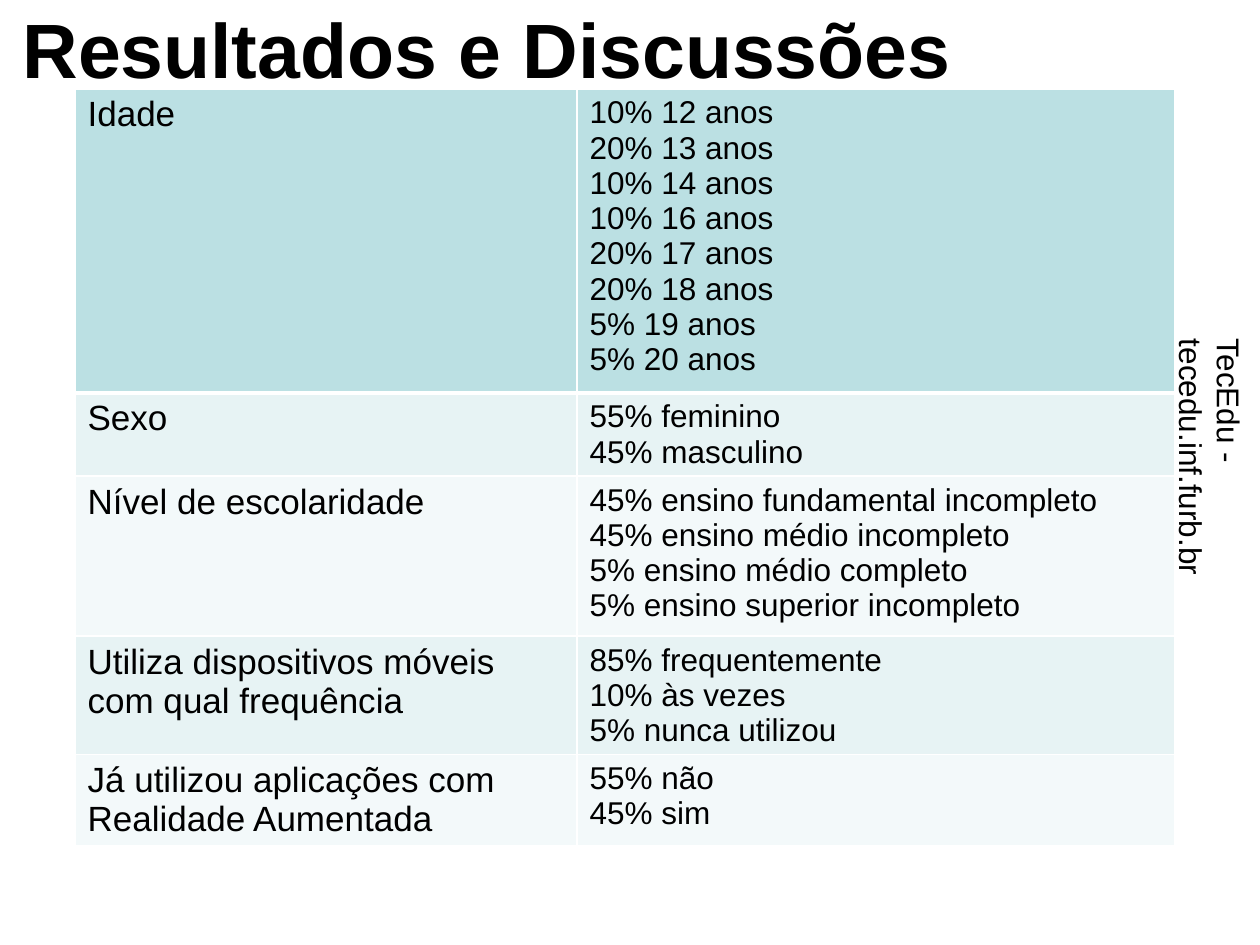
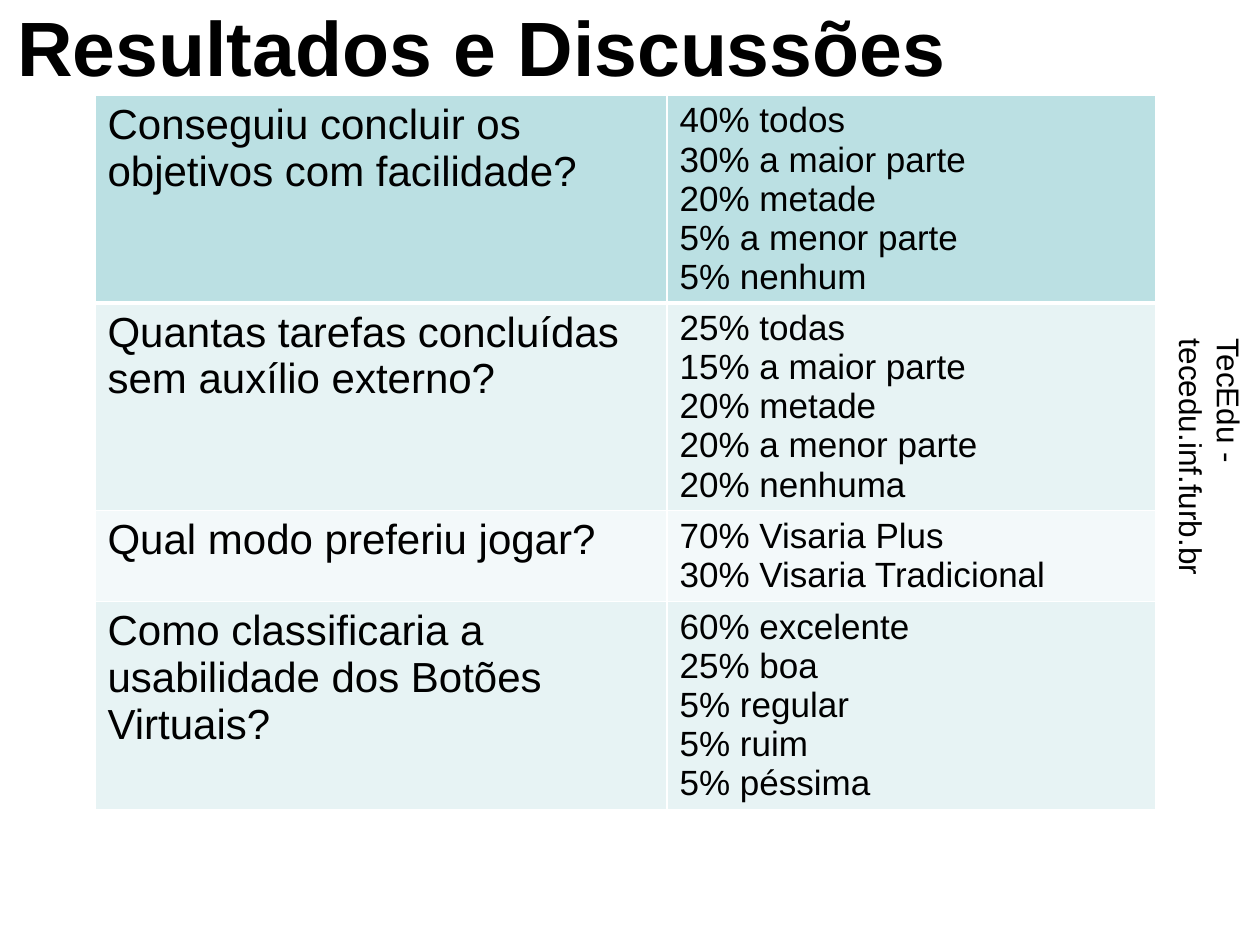
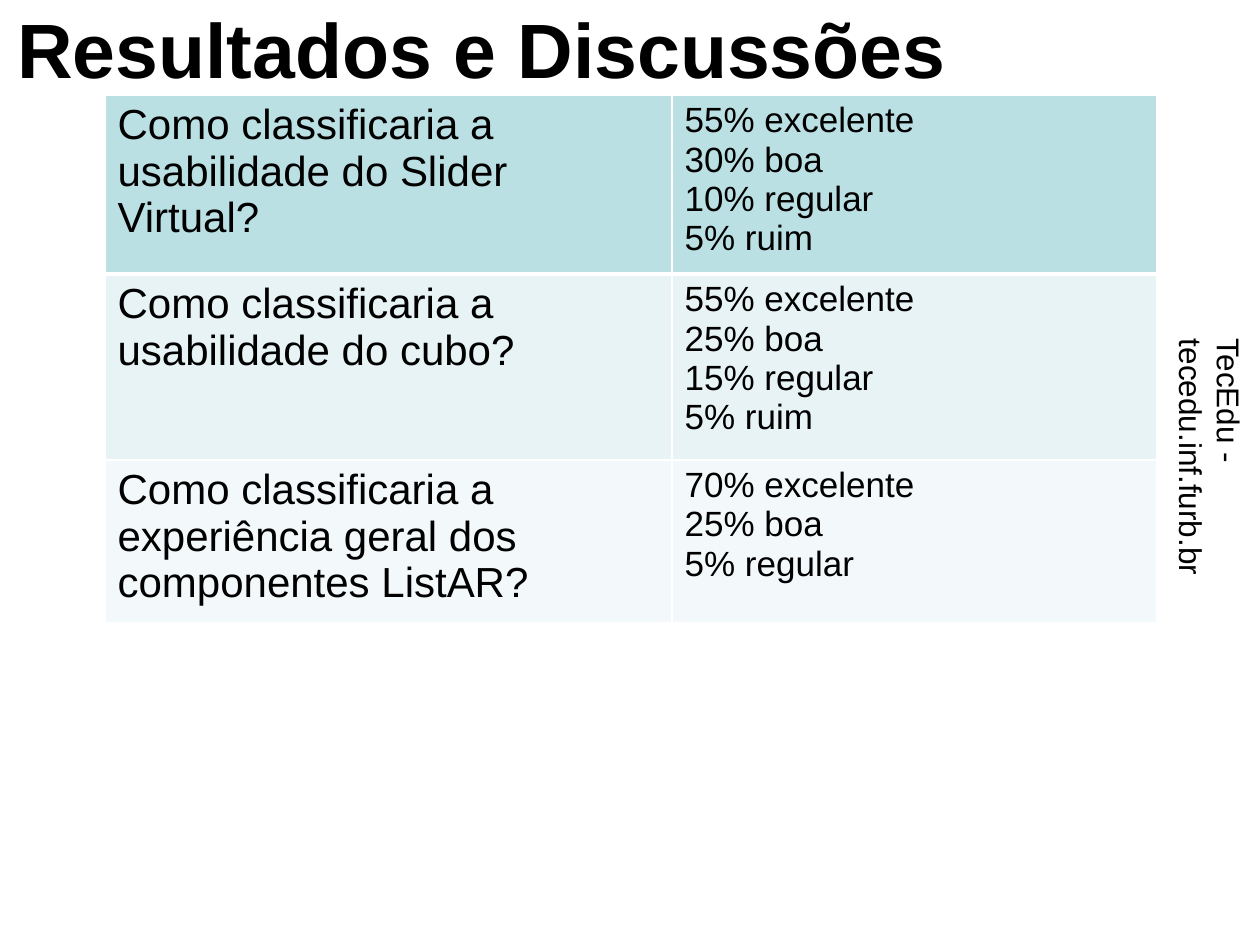
from pptx import Presentation
from pptx.dml.color import RGBColor
from pptx.enum.text import MSO_ANCHOR, MSO_AUTO_SIZE
from pptx.oxml.xmlchemy import OxmlElement
from pptx.util import Emu, Pt

PX = 914400 // 126
MIDDLE = MSO_ANCHOR.MIDDLE
TOP = MSO_ANCHOR.TOP
NO_AUTOFIT = MSO_AUTO_SIZE.NONE

COLORS = {
    "text": "000000",
    "header": "BBE0E3",
    "band_dark": "E7F3F4",
    "band_light": "F3F9FA",
    "border": "FFFFFF",
}
FONT = "Arial"
TITLE = "Resultados e Discussões"
FOOTER = "TecEdu - tecedu.inf.furb.br"
FOOTER_BOX = (1046, 485, 367, 50)

SURVEYS = [
    {
        "title_box": (10, 10, 968, 76),
        "origin": (75, 89),
        "columns": (502, 598),
        "sizes": (20, 18),
        "rows": [
            (304, "Idade", ["10% 12 anos", "20% 13 anos", "10% 14 anos", "10% 16 anos",
                            "20% 17 anos", "20% 18 anos", "5% 19 anos", "5% 20 anos"]),
            (83, "Sexo", ["55% feminino", "45% masculino"]),
            (160, "Nível de escolaridade", ["45% ensino fundamental incompleto",
                                            "45% ensino médio incompleto",
                                            "5% ensino médio completo",
                                            "5% ensino superior incompleto"]),
            (118, "Utiliza dispositivos móveis com qual frequência",
             ["85% frequentemente", "10% às vezes", "5% nunca utilizou"]),
            (91, "Já utilizou aplicações com Realidade Aumentada", ["55% não", "45% sim"]),
        ],
    },
    {
        "title_box": (5, 6, 958, 80),
        "origin": (95, 95),
        "columns": (572, 489),
        "sizes": (24, 20),
        "rows": [
            (207, "Conseguiu concluir os objetivos com facilidade?",
             ["40% todos", "30% a maior parte", "20% metade", "5% a menor parte", "5% nenhum"]),
            (207, "Quantas tarefas concluídas sem auxílio externo?",
             ["25% todas", "15% a maior parte", "20% metade", "20% a menor parte", "20% nenhuma"]),
            (91, "Qual modo preferiu jogar?", ["70% Visaria Plus", "30% Visaria Tradicional"]),
            (207, "Como classificaria a usabilidade dos Botões Virtuais?",
             ["60% excelente", "25% boa", "5% regular", "5% ruim", "5% péssima"]),
        ],
    },
    {
        "title_box": (5, 10, 968, 76),
        "origin": (105, 95),
        "columns": (567, 485),
        "sizes": (24, 20),
        "rows": [
            (179, "Como classificaria a usabilidade do Slider Virtual?",
             ["55% excelente", "30% boa", "10% regular", "5% ruim"]),
            (186, "Como classificaria a usabilidade do cubo?",
             ["55% excelente", "25% boa", "15% regular", "5% ruim"]),
            (163, "Como classificaria a experiência geral dos componentes ListAR?",
             ["70% excelente", "25% boa", "5% regular"]),
        ],
    },
]


def px(length):
    return Emu(length * PX)


def write_lines(text_frame, lines, size, bold=False):
    font_values = {"name": FONT, "size": Pt(size), "bold": bold}
    for index, line in enumerate(lines):
        paragraph = text_frame.add_paragraph() if index else text_frame.paragraphs[0]
        run = paragraph.add_run()
        run.text = line
        for name, value in font_values.items():
            setattr(run.font, name, value)
        run.font.color.rgb = RGBColor.from_string(COLORS["text"])


def add_text(slide, box, text, size, bold=False, anchor=TOP):
    shape = slide.shapes.add_textbox(*map(px, box))
    frame_values = {"word_wrap": True, "auto_size": NO_AUTOFIT, "vertical_anchor": anchor}
    for name, value in frame_values.items():
        setattr(shape.text_frame, name, value)
    write_lines(shape.text_frame, [text], size, bold)
    return shape


def add_footer(slide, box):
    add_text(slide, box, FOOTER, 18).rotation = 90


def set_borders(cell, widths):
    properties = cell._tc.get_or_add_tcPr()
    for position, (side, width) in enumerate(widths.items()):
        line = OxmlElement(f"a:{side}")
        line.set("w", str(Pt(width)))
        fill = OxmlElement("a:solidFill")
        color = OxmlElement("a:srgbClr")
        color.set("val", COLORS["border"])
        fill.append(color)
        line.append(fill)
        properties.insert(position, line)


def row_color(row_index):
    if row_index == 0:
        return COLORS["header"]
    return COLORS["band_dark" if row_index % 2 else "band_light"]


def add_answers(slide, origin, columns, rows, sizes):
    heights = [height for height, _, _ in rows]
    box = (*origin, sum(columns), sum(heights))
    table = slide.shapes.add_table(len(rows), len(columns), *map(px, box)).table
    table.first_row = False
    table.horz_banding = False
    for column, width in zip(table.columns, columns):
        column.width = px(width)
    for row_index, (height, question, answers) in enumerate(rows):
        table.rows[row_index].height = px(height)
        widths = {"lnL": 1, "lnR": 1, "lnT": 1, "lnB": 1 if row_index else 3}
        for column_index, lines in enumerate(([question], answers)):
            cell = table.cell(row_index, column_index)
            cell.fill.solid()
            cell.fill.fore_color.rgb = RGBColor.from_string(row_color(row_index))
            set_borders(cell, widths)
            write_lines(cell.text_frame, lines, sizes[column_index])


def add_survey_slide(presentation, survey):
    slide = presentation.slides.add_slide(presentation.slide_layouts[6])
    add_footer(slide, FOOTER_BOX)
    add_text(slide, survey["title_box"], TITLE, 44, bold=True, anchor=MIDDLE)
    add_answers(slide, survey["origin"], survey["columns"], survey["rows"], survey["sizes"])


def main():
    presentation = Presentation()
    presentation.slide_width = px(1260)
    presentation.slide_height = px(945)
    for survey in SURVEYS:
        add_survey_slide(presentation, survey)
    presentation.save("out.pptx")


if __name__ == "__main__":
    main()
